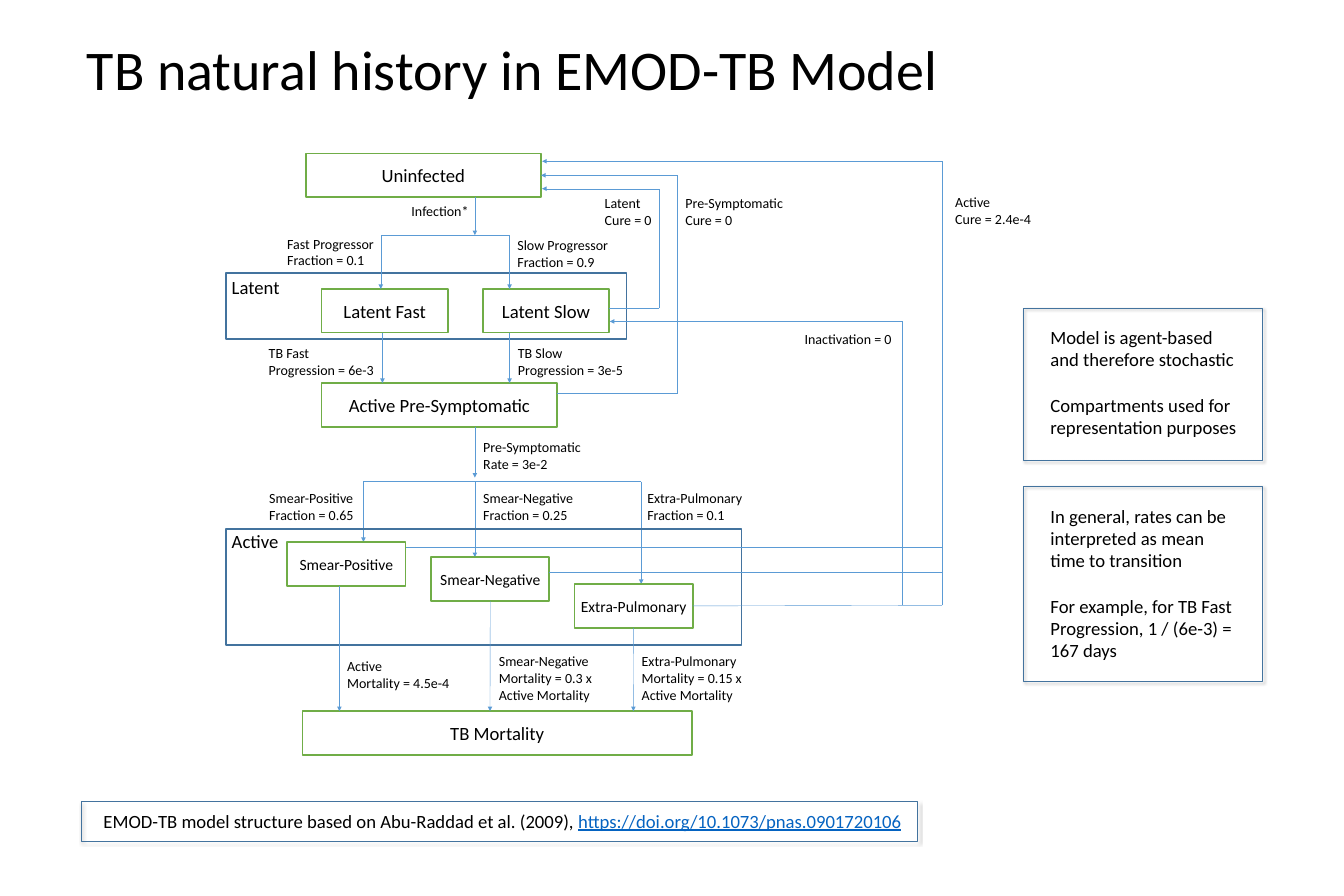
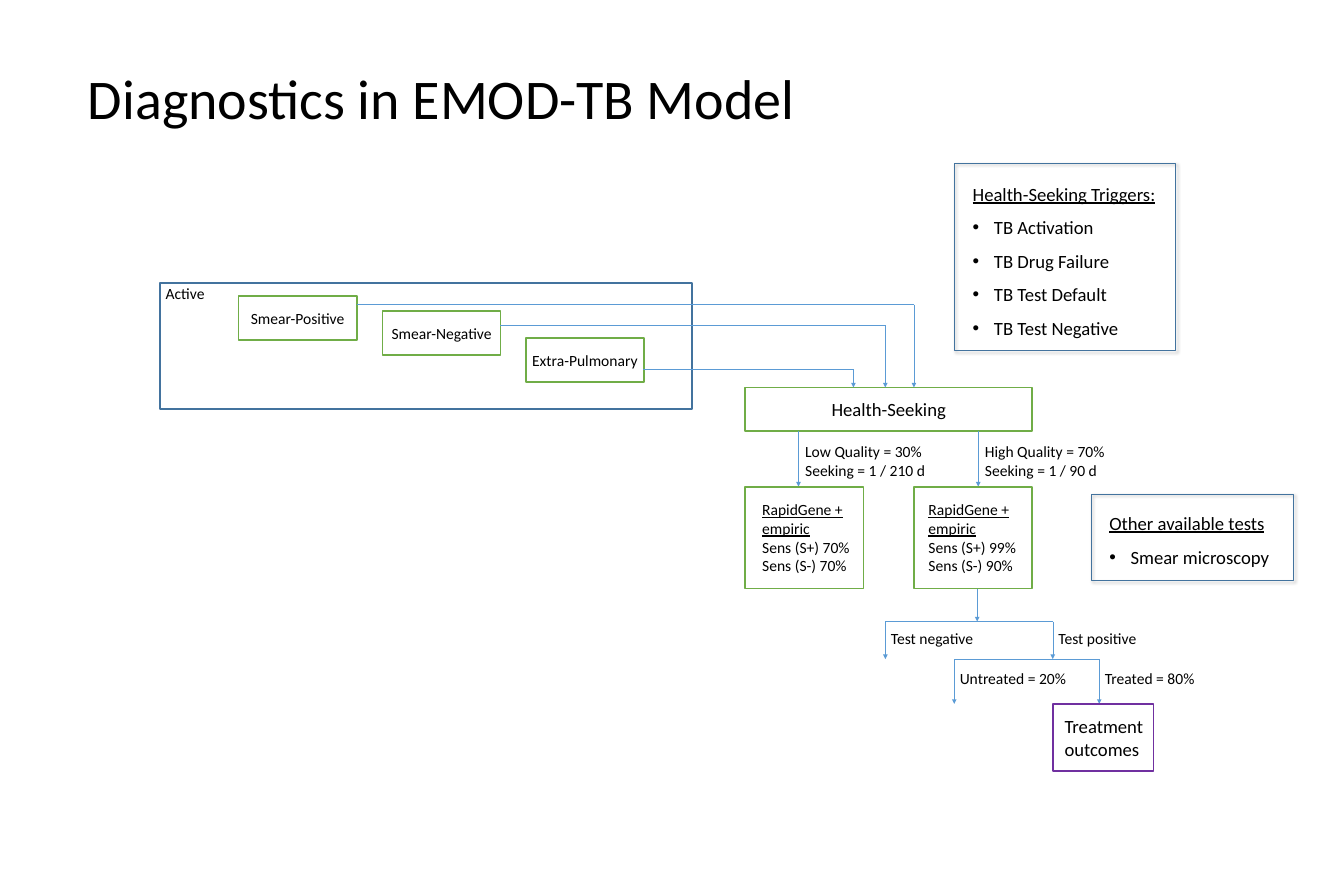
from dataclasses import dataclass

from lxml import etree
from pptx import Presentation
from pptx.dml.color import RGBColor
from pptx.enum.shapes import MSO_CONNECTOR, MSO_SHAPE
from pptx.enum.text import MSO_ANCHOR, MSO_AUTO_SIZE, PP_ALIGN
from pptx.oxml import parse_xml
from pptx.oxml.ns import nsdecls, qn
from pptx.util import Inches, Pt

STRAIGHT = MSO_CONNECTOR.STRAIGHT
RECTANGLE = MSO_SHAPE.RECTANGLE
TOP, MIDDLE = MSO_ANCHOR.TOP, MSO_ANCHOR.MIDDLE
LEFT, CENTER = PP_ALIGN.LEFT, PP_ALIGN.CENTER
NO_AUTOSIZE = MSO_AUTO_SIZE.NONE
SIDE_BOTTOM, SIDE_RIGHT = 2, 3

FONT = "Calibri"
COLORS = {
    "ink": "000000",
    "paper": "FFFFFF",
    "state": "70AD47",
    "frame": "43739E",
    "arrow": "5B9BD5",
    "outcome": "7030A0",
    "reference": "0563C1",
}
TITLE_SIZE, STATE_SIZE, SUBSTATE_SIZE, RATE_SIZE = 72, 24, 20, 18
STATE_HEIGHT = 0.78
SUBSTATE_WIDTH = 2.11
BULLET_INDENT = 0.38
BLANK_LINE = 29.3


@dataclass
class Paragraph:
    text: str
    reference: str = ""
    underline: bool = False
    bullet: bool = False
    line_spacing: float = 1.0
    space_before: float = 0


def color(name):
    return RGBColor.from_string(COLORS[name])


def add_run(paragraph, text, size, color_name="ink", underline=False):
    run = paragraph.add_run()
    run.text = text
    run.font.name = FONT
    run.font.size = Pt(size)
    run.font.underline = underline
    run.font.color.rgb = color(color_name)


def add_bullet(paragraph):
    properties = paragraph._p.get_or_add_pPr()
    properties.set("marL", str(Inches(BULLET_INDENT)))
    properties.set("indent", str(-Inches(BULLET_INDENT)))
    etree.SubElement(properties, qn("a:buFont"), typeface="Arial")
    etree.SubElement(properties, qn("a:buChar"), char="•")


def write_text(text_frame, paragraphs, size, alignment=LEFT):
    for index, item in enumerate(paragraphs):
        if isinstance(item, str):
            item = Paragraph(item)
        paragraph = text_frame.paragraphs[0] if index == 0 else text_frame.add_paragraph()
        paragraph.alignment = alignment
        paragraph.line_spacing = item.line_spacing
        paragraph.space_before = Pt(item.space_before)
        if item.bullet:
            add_bullet(paragraph)
        add_run(paragraph, item.text, size, underline=item.underline)
        if item.reference:
            add_run(paragraph, item.reference, size, "reference", True)


@dataclass
class Region:
    """Part of a slide; all lengths given to it are inches from its own corner."""
    slide: object
    left: float
    top: float

    def place(self, x, y):
        return Inches(self.left + x), Inches(self.top + y)

    def rectangle(self, x, y, width, height, line, line_width=2.25, filled=False):
        shape = self.slide.shapes.add_shape(
            RECTANGLE, *self.place(x, y), Inches(width), Inches(height))
        shape.shadow.inherit = False
        shape.line.color.rgb = color(line)
        shape.line.width = Pt(line_width)
        if filled:
            shape.fill.solid()
            shape.fill.fore_color.rgb = color("paper")
        else:
            shape.fill.background()
        return shape

    def state(self, x, y, width, paragraphs, size=STATE_SIZE, height=STATE_HEIGHT,
              line="state", indent=None):
        """Filled box with centred text, or left-aligned text when indented."""
        shape = self.rectangle(x, y, width, height, line, filled=True)
        text_frame = shape.text_frame
        text_frame.word_wrap = True
        text_frame.vertical_anchor = MIDDLE
        text_frame.margin_left = Inches(indent or 0)
        text_frame.margin_right = 0
        write_text(text_frame, paragraphs, size, CENTER if indent is None else LEFT)
        return shape

    def label(self, x, y, width, *paragraphs, size=RATE_SIZE, wrap=False):
        height = 0.1 + len(paragraphs) * size / 60
        text_box = self.slide.shapes.add_textbox(
            *self.place(x, y), Inches(width), Inches(height))
        text_box.text_frame.word_wrap = wrap
        write_text(text_box.text_frame, paragraphs, size)

    def route(self, *points, arrow=True, start=None, end=None):
        """Chain of straight lines; start and end are (shape, side) to join."""
        last = len(points) - 2
        for index, (first, second) in enumerate(zip(points, points[1:])):
            line = self.slide.shapes.add_connector(
                STRAIGHT, *self.place(*first), *self.place(*second))
            line.line.color.rgb = color("arrow")
            line.line.width = Pt(0.5)
            if start and index == 0:
                line.begin_connect(*start)
            if end and index == last:
                line.end_connect(*end)
            if arrow and index == last:
                etree.SubElement(line.line._get_or_add_ln(), qn("a:tailEnd"), type="triangle")
            etree.SubElement(line._element.spPr, qn("a:effectLst"))

    def fork(self, y, *tips):
        """Horizontal bar at y with an arrow down to each (x, y) tip."""
        self.route((tips[0][0], y), (tips[-1][0], y), arrow=False)
        for x, tip in tips:
            self.route((x, y), (x, tip))


def add_slide(presentation, title, left, top):
    slide = presentation.slides.add_slide(presentation.slide_layouts[5])
    placeholder = slide.shapes.title
    placeholder.left, placeholder.top = Inches(left), Inches(top)
    placeholder.width, placeholder.height = Inches(16), Inches(1.31)
    text_frame = placeholder.text_frame
    text_frame.auto_size = NO_AUTOSIZE
    text_frame.vertical_anchor = TOP
    write_text(text_frame, [title], TITLE_SIZE)
    return slide


def add_panel(region, width, height, inset, paragraphs):
    """Shadowed frame; inset is the text's left, top and right distance."""
    frame = region.rectangle(0, 0, width, height, "frame", 1)
    properties = frame._element.spPr
    properties.remove(properties.find(qn("a:effectLst")))
    properties.append(parse_xml(
        f'<a:effectLst {nsdecls("a")}><a:outerShdw blurRad="{Pt(4)}" dist="{Pt(3)}" '
        'dir="2700000" algn="tl" rotWithShape="0"><a:srgbClr val="000000">'
        '<a:alpha val="40000"/></a:srgbClr></a:outerShdw></a:effectLst>'))
    left, top, right = inset
    region.label(left, top, width - left - right, *paragraphs, size=STATE_SIZE, wrap=True)


def add_list_panel(region, width, height, inset, heading, items):
    paragraphs = [Paragraph(heading, underline=True, line_spacing=1.5)]
    paragraphs += [Paragraph(item, bullet=True, line_spacing=1.5) for item in items]
    add_panel(region, width, height, inset, paragraphs)


def add_active_group(region, width, height, first_x, label_size):
    """Frame of active disease with three staggered states, which it returns."""
    states = [
        region.state(first_x + x, 0.24 + y, SUBSTATE_WIDTH, [name], SUBSTATE_SIZE)
        for x, y, name in ((0, 0, "Smear-Positive"), (2.57, 0.27, "Smear-Negative"),
                           (5.13, 0.75, "Extra-Pulmonary"))]
    region.rectangle(0, 0, width, height, "frame")
    region.label(0, -0.02, 0.5 + label_size * 0.023, "Active", size=label_size)
    return states


def add_latency(region):
    uninfected = region.state(1.42, 0, 4.2, ["Uninfected"])
    region.state(1.7, 2.42, 2.26, ["Latent Fast"])
    region.state(4.58, 2.42, 2.26, ["Latent Slow"])
    region.rectangle(0, 2.14, 7.15, 1.17, "frame")
    region.label(0, 2.14, 1.07, "Latent", size=STATE_SIZE)
    region.route((4.44, 0.78), (4.44, 1.46))
    region.fork(1.46, (2.76, 2.42), (5.06, 2.42))
    region.label(3.21, 0.82, 1.24, "Infection*")
    region.label(0.99, 1.41, 1.76, "Fast Progressor", "Fraction = 0.1")
    region.label(5.1, 1.44, 1.84, "Slow Progressor", "Fraction = 0.9")
    return uninfected


def add_activation(region):
    region.state(1.7, 0.9, 4.21, ["Active Pre-Symptomatic"])
    for x, bottom, top in ((2.79, 0.9, 0), (5.06, 0.9, 0), (4.44, 2.59, 1.68)):
        region.route((x, top), (x, bottom))
    region.fork(2.66, (2.45, 3.74), (4.44, 4.01), (7.41, 4.49))
    region.label(0.66, 0.17, 2.1, "TB Fast", "Progression = 6e-3")
    region.label(5.11, 0.17, 2.1, "TB Slow", "Progression = 3e-5")
    region.label(4.49, 1.84, 1.96, "Pre-Symptomatic", "Rate = 3e-2")
    region.label(0.67, 2.76, 1.73, "Smear-Positive", "Fraction = 0.65")
    region.label(4.49, 2.76, 1.83, "Smear-Negative", "Fraction = 0.25")
    region.label(7.42, 2.76, 1.91, "Extra-Pulmonary", "Fraction = 0.1")


def add_mortality(region, smear_negative, extra_pulmonary):
    region.state(1.36, 1.18, 6.96, ["TB Mortality"])
    region.route((2.02, -1.06), (2.02, 1.18))
    region.route((4.71, -0.79), (4.71, 1.18), start=(smear_negative, SIDE_BOTTOM))
    region.route((7.27, -0.31), (7.27, 1.18), start=(extra_pulmonary, SIDE_BOTTOM))
    region.label(2.06, 0.18, 2.1, "Active", "Mortality = 4.5e-4")
    region.label(4.77, 0.09, 1.88, "Smear-Negative", "Mortality = 0.3 x", "Active Mortality")
    region.label(7.32, 0.09, 2.01, "Extra-Pulmonary", "Mortality = 0.15 x", "Active Mortality")


def add_cures(region, uninfected, extra_pulmonary):
    """Return routes on the right of the diagram, with their rates."""
    trunk = 7.16
    region.route((2.71, 8.07), (trunk, 8.07), (trunk, 0.14), (0.02, 0.14),
                 start=(extra_pulmonary, SIDE_RIGHT))
    for x, y in ((0.14, 7.48), (-2.41, 7.04)):
        region.route((x, y), (trunk, y), arrow=False)
    region.route((0.29, 4.29), (2.44, 4.29), (2.44, 0.39), (0, 0.39),
                 end=(uninfected, SIDE_RIGHT))
    region.route((1.22, 2.76), (2.11, 2.76), (2.11, 0.63), (0.02, 0.63))
    region.route((6.45, 8.07), (6.45, 3), (1.23, 3))
    region.label(1.04, 0.69, 1.05, "Latent", "Cure = 0")
    region.label(2.48, 0.69, 1.96, "Pre-Symptomatic", "Cure = 0")
    region.label(7.3, 0.67, 1.57, "Active", "Cure = 2.4e-4")
    region.label(4.61, 3.11, 1.78, "Inactivation = 0")


def add_health_seeking(region):
    region.state(0, 0, 5.12, ["Health-Seeking"])
    for x, y, end in ((-6.94, -1.48, 3.01), (-4.38, -1.11, 2.5), (-1.82, -0.33, 1.93)):
        region.route((x, y), (end, y), (end, 0))
    for x, arrow_x, indent, seeking, sensitivity in (
            (0, 0.95, 0.3, ("Low Quality = 30%", "Seeking = 1 / 210 d"), ("70%", "70%")),
            (3.01, 4.16, 0.26, ("High Quality = 70%", "Seeking = 1 / 90 d"), ("99%", "90%"))):
        region.route((arrow_x, STATE_HEIGHT), (arrow_x, 1.77))
        region.label(arrow_x + 0.02, 0.92, 2.36, *seeking, size=SUBSTATE_SIZE)
        test = [Paragraph(line, underline=True) for line in ("RapidGene +", "empiric")]
        test += [f"Sens ({smear}) {value}" for smear, value in zip(("S+", "S-"), sensitivity)]
        region.state(x, 1.77, SUBSTATE_WIDTH, test, SUBSTATE_SIZE, 1.82, indent=indent)


def add_test_results(region):
    region.route((4.14, 0), (4.14, 0.59))
    region.fork(0.59, (2.5, 1.26), (5.49, 1.26))
    region.fork(1.26, (3.73, 2.06), (6.32, 2.06))
    for x, y, width, text in ((2.5, 0.67, 1.69, "Test negative"), (5.49, 0.67, 1.61, "Test positive"),
                              (3.73, 1.39, 2.12, "Untreated = 20%"), (6.32, 1.39, 1.82, "Treated = 80%")):
        region.label(x, y, width, text, size=SUBSTATE_SIZE)
    region.state(5.49, 2.06, 1.8, ["Treatment", "outcomes"], height=1.2,
                 line="outcome", indent=0.21)


def build_natural_history(presentation):
    slide = add_slide(presentation, "TB natural history in EMOD-TB Model", 1.45, 0.56)
    left = 4.04
    uninfected = add_latency(Region(slide, left, 2.74))
    add_activation(Region(slide, left, 5.94))
    _, smear_negative, extra_pulmonary = add_active_group(
        Region(slide, left, 9.44), 9.2, 2.08, 1.09, STATE_SIZE)
    add_mortality(Region(slide, left, 11.52), smear_negative, extra_pulmonary)
    add_cures(Region(slide, 9.66, 2.74), uninfected, extra_pulmonary)
    for top, height, first, second in (
            (5.5, 2.73, "Model is agent-based and therefore stochastic",
             "Compartments used for representation purposes"),
            (8.69, 3.47, "In general, rates can be interpreted as mean time to transition",
             "For example, for TB Fast Progression, 1 / (6e-3) = 167 days")):
        add_panel(Region(slide, 18.28, top), 4.26, height, (0.38, 0.27, 0.28),
                  [first, Paragraph(second, space_before=BLANK_LINE)])
    add_panel(Region(slide, 1.45, 14.31), 14.94, 0.71, (0.3, 0.1, 0), [Paragraph(
        "EMOD-TB model structure based on Abu-Raddad et al. (2009), ",
        reference="https://doi.org/10.1073/pnas.0901720106")])


def build_diagnostics(presentation):
    slide = add_slide(presentation, "Diagnostics in EMOD-TB Model", 1.47, 1.09)
    add_active_group(Region(slide, 2.86, 5.05), 9.5, 2.25, 1.4, SUBSTATE_SIZE)
    add_health_seeking(Region(slide, 13.31, 6.92))
    add_test_results(Region(slide, 13.31, 10.51))
    add_list_panel(
        Region(slide, 17.04, 2.91), 3.95, 3.34, (0.23, 0.1, 0), "Health-Seeking Triggers:",
        ["TB Activation", "TB Drug Failure", "TB Test Default", "TB Test Negative"])
    add_list_panel(Region(slide, 19.49, 8.83), 3.61, 1.54, (0.22, 0.06, 0),
                   "Other available tests", ["Smear microscopy"])


def main():
    presentation = Presentation()
    presentation.slide_width, presentation.slide_height = Inches(24), Inches(16)
    build_natural_history(presentation)
    build_diagnostics(presentation)
    presentation.save("out.pptx")


if __name__ == "__main__":
    main()
